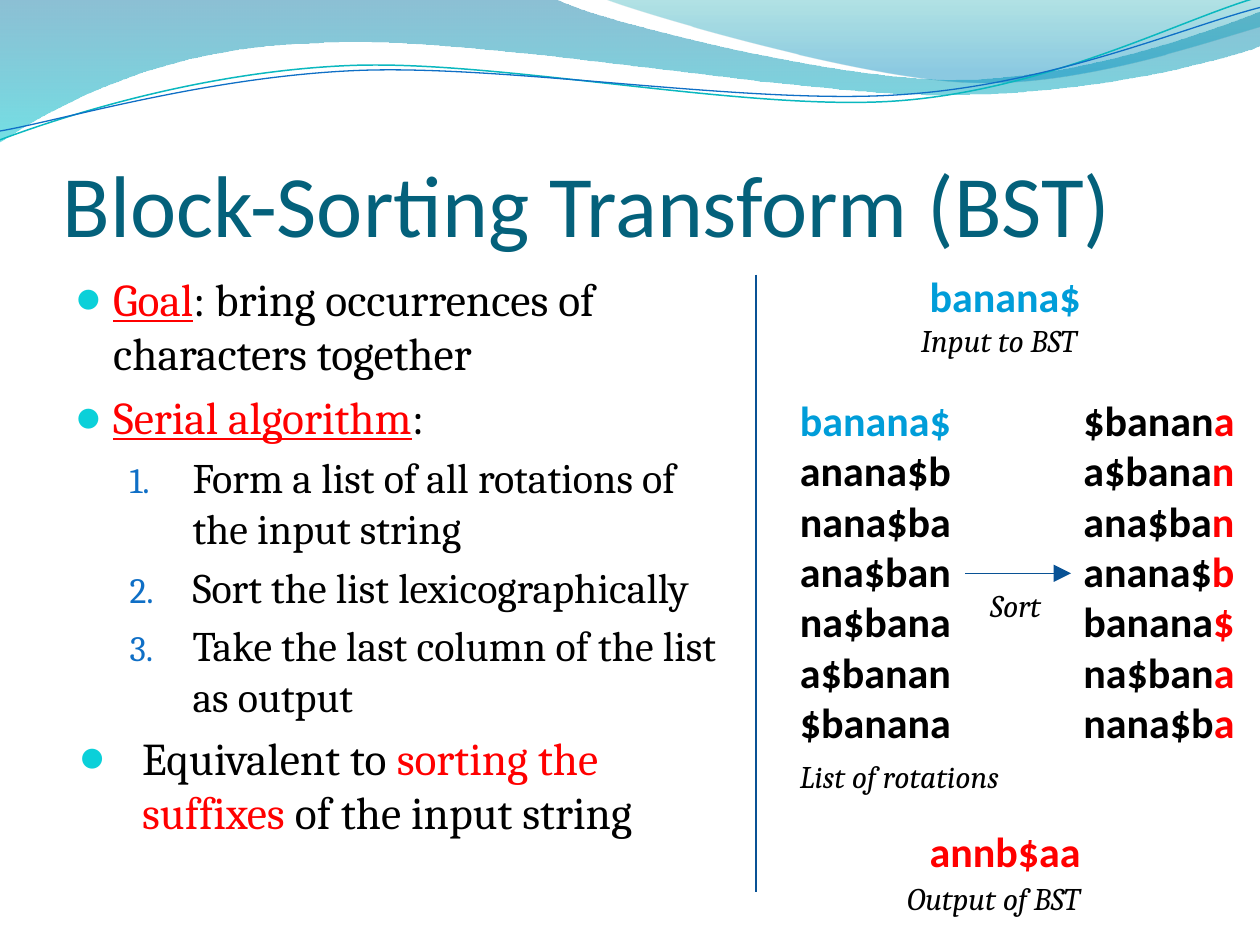
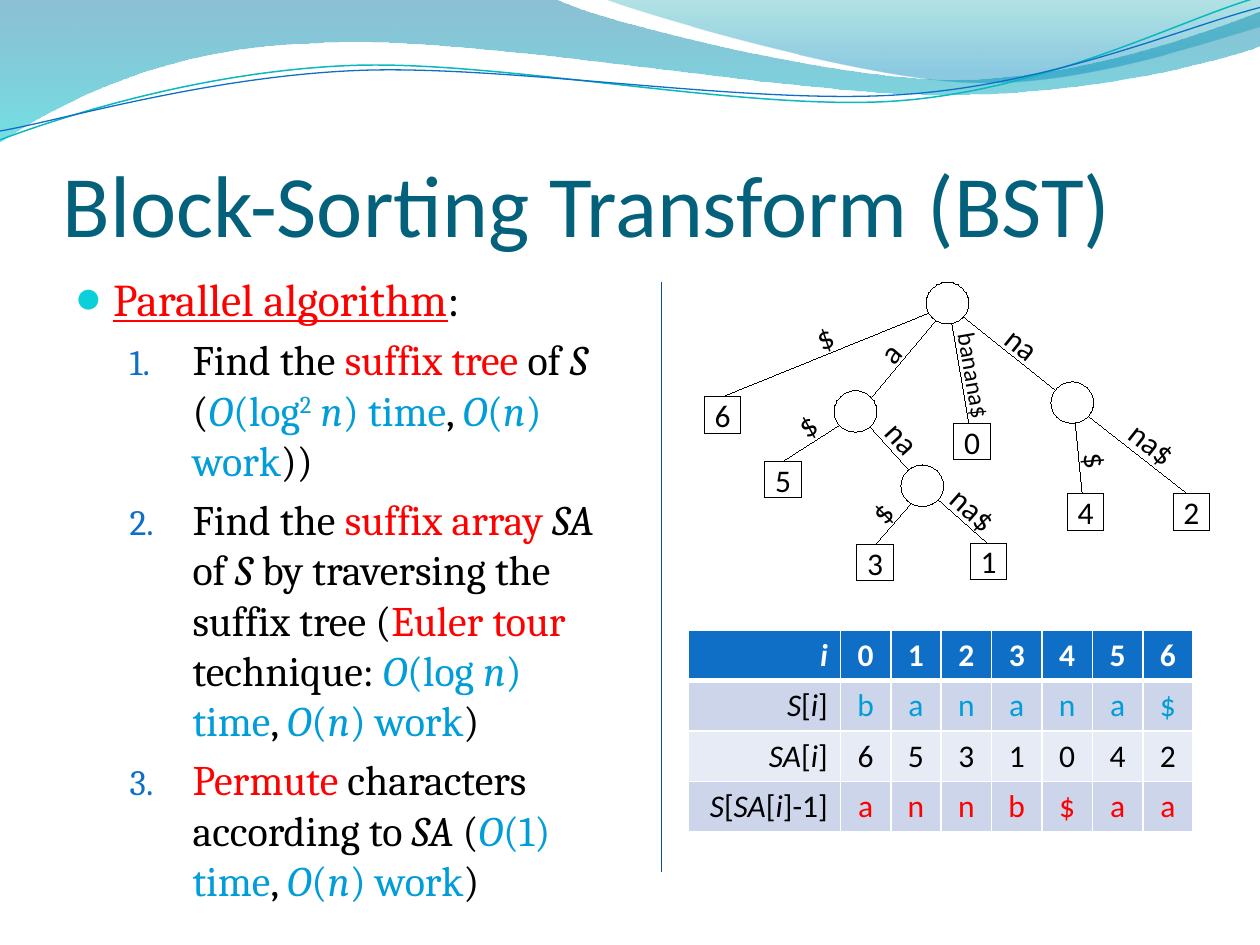
import math
from dataclasses import dataclass, replace
from itertools import islice
from typing import Any

import lxml.etree
import pptx
import pptx.dml.color
import pptx.enum.shapes
import pptx.enum.text
import pptx.oxml.ns
import pptx.util

ALIGN = pptx.enum.text.PP_ALIGN
ANCHOR = pptx.enum.text.MSO_ANCHOR
SHAPE = pptx.enum.shapes.MSO_SHAPE


@dataclass(frozen=True)
class Theme:
    heading_font: str = "Calibri"
    body_font: str = "Cambria"
    black: str = "000000"
    white: str = "FFFFFF"
    red: str = "FF0000"
    blue: str = "009DD9"
    title: str = "04617B"
    bullet: str = "0BD0D9"
    accent: str = "0F6FC6"
    rule: str = "095295"
    teal: str = "0AB8BF"
    band: tuple[str, str] = ("CCD5EA", "E7EBF5")
    title_size: int = 50
    item_size: int = 26
    step_size: int = 24
    small_size: int = 18
    tiny_size: int = 14


THEME = Theme()


@dataclass(frozen=True)
class Span:
    text: str
    color: str = THEME.black
    bold: bool = False
    italic: bool = False
    underline: bool = False
    raised: bool = False


@dataclass(frozen=True)
class Item:
    spans: list[Span]
    numbered: bool = False
    margin: float = 0.3
    hanging: float = 0.3


@dataclass(frozen=True)
class Wave:
    start: tuple[float, float]
    curves: list[tuple[float, ...]]  # 2 numbers: straight, 6 numbers: cubic
    stops: tuple[tuple[int, str, int], ...] = ()  # position, colour, opacity
    line: tuple[str, float] | None = None
    pivot: tuple[float, float] = (0, 0)
    turn: float = 0


@dataclass(frozen=True)
class Node:
    name: str
    at: tuple[float, float]
    joint: tuple[float, float]  # where the edge from the parent ends
    parent: str = ""
    label: str = ""
    label_at: tuple[float, float] = (0, 0)
    angle: float = 0
    size: int = THEME.small_size


# Helpers
def length(inches: float) -> int:
    return pptx.util.Cm(inches * 2.54)


def rgb(color: str) -> pptx.dml.color.RGBColor:
    return pptx.dml.color.RGBColor.from_string(color)


def assign(target: Any, **values: Any) -> None:
    for name, value in values.items():
        setattr(target, name, value)


def add_xml(parent: Any, tag: str, **attributes: Any) -> Any:
    return lxml.etree.SubElement(parent, pptx.oxml.ns.qn(tag),
                                 {key: str(value) for key, value in attributes.items()})


def set_line(line: Any, color: str, width: float) -> None:
    line.color.rgb = rgb(color)
    line._get_or_add_ln().set("w", str(pptx.util.Pt(width)))  # keeps a zero width


def alternate(color: str, *pieces: str) -> list[Span]:
    """Italic and upright pieces in turn, beginning with italic."""
    return [Span(piece, color, italic=i % 2 == 0) for i, piece in enumerate(pieces)]


def black(*pieces: str) -> list[Span]:
    return alternate(THEME.black, *pieces)


def cost(*pieces: str) -> list[Span]:
    return alternate(THEME.blue, *pieces)


def write(para: Any, spans: list[Span], size: int, font: str) -> None:
    for part in spans:
        span = para.add_run()
        span.text = part.text
        assign(span.font, size=pptx.util.Pt(size), name=font, bold=part.bold,
               italic=part.italic, underline=part.underline)
        span.font.color.rgb = rgb(part.color)
        if part.raised:
            span.font._element.set("baseline", "30000")


def add_lines(page: Any, at: tuple[float, ...], lines: list[list[Span]], size: int,
              font: str = THEME.heading_font, rotation: float = 0) -> None:
    box = page.shapes.add_textbox(*map(length, at))
    frame = box.text_frame
    assign(frame, word_wrap=False, auto_size=pptx.enum.text.MSO_AUTO_SIZE.SHAPE_TO_FIT_TEXT)
    box.rotation = rotation
    for i, spans in enumerate(lines):
        write(frame.add_paragraph() if i else frame.paragraphs[0], spans, size, font)


def add_caption(page: Any, left: float, top: float, width: float, text: str) -> None:
    add_lines(page, (left, top, width, 0.4), [[Span(text, italic=True)]],
              THEME.small_size, THEME.body_font)


def add_line(page: Any, start: tuple[float, float], end: tuple[float, float],
             arrow: bool = False) -> None:
    line = page.shapes.add_connector(pptx.enum.shapes.MSO_CONNECTOR.STRAIGHT,
                                     *map(length, start + end))
    set_line(line.line, THEME.rule, 0.75)
    if arrow:
        add_xml(line.line._get_or_add_ln(), "a:tailEnd", type="triangle", w="lg", len="lg")
    add_xml(line._element.spPr, "a:effectLst")


# Wave header
WAVES = [
    Wave((0, 0), [(4.4, -0.01), (4.76, 0.17, 6.64, 0.63, 7.58, 0.63),
                  (8.53, 0.63, 9.58, 0.26, 10, 0.09), (10.01, 0.36),
                  (9.83, 0.44, 8.7, 0.76, 7.46, 0.75), (6.22, 0.75, 3.82, 0.28, 2.57, 0.34),
                  (1.29, 0.36, 0.46, 0.83, -0.01, 1.13)],
         stops=((0, "0074A1", 45), (100, "00C6CF", 55))),
    Wave((4.79, -0.01), [(5.09, 0.11, 6.82, 0.62, 7.69, 0.65),
                         (8.56, 0.69, 9.61, 0.32, 10, 0.21), (10, 0)],
         stops=((0, "00A1A9", 30), (80, "008BBF", 45))),
    Wave((0, 1.11), [(0.48, 0.93, 1.58, 0.57, 2.77, 0.52), (3.95, 0.47, 5.93, 0.89, 7.13, 0.8),
                     (8.33, 0.71, 9.38, 0.15, 9.98, -0.02)],
         line=(THEME.teal, 0.85), pivot=(4.99, 0.58), turn=-2.7),
    Wave((0, 1.04), [(0.47, 0.96, 1.64, 0.61, 2.83, 0.56), (4.03, 0.51, 5.97, 0.84, 7.17, 0.75),
                     (8.36, 0.67, 9.41, 0.21, 10, 0.06)],
         line=(THEME.accent, 0.75), pivot=(5, 0.59), turn=-2.7),
]


def unturned(wave: Wave, x: float, y: float) -> tuple[int, int]:
    """The point before the shape's own rotation, in page units."""
    angle = math.radians(-wave.turn)
    dx, dy = x - wave.pivot[0], y - wave.pivot[1]
    return (length(wave.pivot[0] + dx * math.cos(angle) - dy * math.sin(angle)),
            length(wave.pivot[1] + dx * math.sin(angle) + dy * math.cos(angle)))


def add_wave(page: Any, wave: Wave) -> None:
    points = [unturned(wave, *curve[i:i + 2])
              for curve in wave.curves for i in range(0, len(curve), 2)]
    builder = page.shapes.build_freeform(*unturned(wave, *wave.start))
    builder.add_line_segments(points, close=bool(wave.stops))
    shape = builder.convert_to_shape()
    # Each three segments of a cubic become one curve
    segments = iter(list(shape._element.iter(pptx.oxml.ns.qn("a:lnTo"))))
    for curve in wave.curves:
        group = list(islice(segments, len(curve) // 2))
        if len(group) == 3:
            cubic = lxml.etree.Element(pptx.oxml.ns.qn("a:cubicBezTo"))
            group[0].addprevious(cubic)
            for segment in group:
                cubic.append(segment[0])
                segment.getparent().remove(segment)
    shape.shadow.inherit = False
    shape.rotation = wave.turn
    if wave.line:
        shape.fill.background()
        set_line(shape.line, *wave.line)
        return
    shape.line.fill.background()
    shape.fill.gradient()
    shape.fill.gradient_angle = 270
    for stop, (position, color, opacity) in zip(shape.fill.gradient_stops, wave.stops):
        stop.position = position / 100
        stop.color.rgb = rgb(color)
        add_xml(stop._gs[0], "a:alpha", val=opacity * 1000)


# Page frame and list
def add_page(deck: Any, title: str) -> Any:
    page = deck.slides.add_slide(deck.slide_layouts[6])
    for wave in WAVES:
        add_wave(page, wave)
    box = page.shapes.add_textbox(*map(length, (0.5, 0.77, 9, 1.25)))
    assign(box.text_frame, word_wrap=True, vertical_anchor=ANCHOR.BOTTOM, margin_left=0,
           margin_top=length(0.05), margin_right=0, margin_bottom=0)
    write(box.text_frame.paragraphs[0], [Span(title, THEME.title)],
          THEME.title_size, THEME.heading_font)
    return page


def add_list(page: Any, width: float, items: list[Item]) -> None:
    frame = page.shapes.add_textbox(*map(length, (0.5, 2.1, width, 4.85))).text_frame
    frame.word_wrap = True
    for i, item in enumerate(items):
        para = frame.add_paragraph() if i else frame.paragraphs[0]
        size = THEME.step_size if item.numbered else THEME.item_size
        assign(para, level=int(item.numbered), space_before=pptx.util.Pt(size * 0.2))
        props = para._p.get_or_add_pPr()
        props.set("marL", str(length(item.margin)))
        props.set("indent", str(-length(item.hanging)))
        add_xml(add_xml(props, "a:buClr"), "a:srgbClr",
                val=THEME.accent if item.numbered else THEME.bullet)
        add_xml(props, "a:buSzPct", val=85000 if item.numbered else 95000)
        if item.numbered:
            add_xml(props, "a:buAutoNum", type="arabicPeriod")
        else:
            add_xml(props, "a:buFont", typeface=THEME.heading_font)
            add_xml(props, "a:buChar", char="●")
        write(para, item.spans, size, THEME.body_font)


def topic(text: str, rest: str) -> Item:
    return Item([Span(text, THEME.red, underline=True), Span(rest)])


def step(*spans: Span) -> Item:
    return Item(list(spans), numbered=True, margin=0.93, hanging=0.5)


# Suffix tree: circles are inner nodes, squares are leaves
TREE = [
    Node("root", (7.35, 2.24), (7.53, 2.42)),
    Node("a", (6.62, 3.1), (6.81, 3.28), "root", "a", (6.9, 2.6), 311.6),
    Node("ana", (7.15, 3.69), (7.34, 3.87), "a", "na", (6.94, 3.28), 47.7),
    Node("na", (8.34, 3.03), (8.52, 3.21), "root", "na", (7.89, 2.53), 39),
    Node("6", (5.59, 3.15), (5.73, 3.15), "root", "$", (6.38, 2.47), 336.9),
    Node("5", (6.07, 3.66), (6.2, 3.67), "a", "$", (6.24, 3.17), 326.6),
    Node("1", (7.7, 4.31), (7.86, 4.33), "ana", "na$", (7.44, 3.84), 41.5),
    Node("0", (7.57, 3.36), (7.69, 3.36), "root", "banana$", (7.28, 2.82), 80.3,
         THEME.tiny_size),
    Node("4", (8.47, 3.92), (8.59, 3.93), "na", "$", (8.54, 3.46), 81.3),
    Node("2", (9.31, 3.92), (9.44, 3.93), "na", "na$", (8.86, 3.32), 38.2),
    Node("3", (6.8, 4.32), (6.94, 4.33), "ana", "$", (6.83, 3.86), 310.7),
]
LABEL_WIDTHS = {"$": 0.33, "a": 0.32, "na": 0.46, "na$": 0.58, "banana$": 0.9}


def add_tree(page: Any, nodes: list[Node]) -> None:
    joints = {node.name: tuple(map(length, node.joint)) for node in nodes}
    root, *children = nodes
    builder = page.shapes.build_freeform(*joints[root.name])
    for node in children:
        builder.move_to(*joints[node.parent])
        builder.add_line_segments([joints[node.name]], close=False)
    edges = builder.convert_to_shape()
    edges.shadow.inherit = False
    edges.fill.background()
    set_line(edges.line, THEME.black, 0)
    for node in nodes:
        leaf = node.name.isdigit()
        extent = (0.29, 0.29) if leaf else (0.34, 0.33)
        shape = page.shapes.add_shape(SHAPE.RECTANGLE if leaf else SHAPE.OVAL,
                                      *map(length, node.at + extent))
        shape.shadow.inherit = False
        shape.fill.solid()
        shape.fill.fore_color.rgb = rgb(THEME.white)
        set_line(shape.line, THEME.black, 0)
        if leaf:
            frame = shape.text_frame
            assign(frame, vertical_anchor=ANCHOR.MIDDLE, margin_left=0, margin_top=0,
                   margin_right=0, margin_bottom=0)
            frame.paragraphs[0].alignment = ALIGN.CENTER
            write(frame.paragraphs[0], [Span(node.name)], THEME.small_size, THEME.heading_font)
    for node in children:
        extent = (LABEL_WIDTHS[node.label], 0.4 if node.size == THEME.small_size else 0.34)
        add_lines(page, node.label_at + extent, [[Span(node.label)]], node.size,
                  rotation=node.angle)


# Table
def add_array_table(page: Any, rows: list[list[list[Span]]]) -> None:
    table = page.shapes.add_table(len(rows), len(rows[0]),
                                  *map(length, (5.46, 5, 4.01, 1.6))).table
    assign(table, first_row=False, horz_banding=False)
    for i, column in enumerate(table.columns):
        column.width = length(0.4 if i else 1.21)
    for r, row in enumerate(rows):
        table.rows[r].height = length(0.4)
        for c, spans in enumerate(row):
            cell = table.cell(r, c)
            for side in "LRTB":
                thick = (r, side) in ((0, "B"), (1, "T"))
                edge = add_xml(cell._tc.get_or_add_tcPr(), f"a:ln{side}",
                               w=pptx.util.Pt(3 if thick else 1))
                add_xml(add_xml(edge, "a:solidFill"), "a:srgbClr", val=THEME.white)
            cell.fill.solid()
            cell.fill.fore_color.rgb = rgb(THEME.band[(r - 1) % 2] if r else THEME.accent)
            para = cell.text_frame.paragraphs[0]
            para.alignment = ALIGN.CENTER if c else ALIGN.RIGHT
            write(para, [replace(span, bold=r == 0) for span in spans],
                  THEME.small_size, THEME.heading_font)


deck = pptx.Presentation()
assign(deck, slide_width=length(10), slide_height=length(7.5))
TITLE = "Block-Sorting Transform (BST)"
word = "banana$"
rotations = [word[i:] + word[:i] for i in range(len(word))]
ordered = sorted(rotations)
output = "".join(text[-1] for text in ordered)
suffixes = sorted(range(len(word)), key=lambda i: word[i:])

# Slide 1: serial algorithm
page = add_page(deck, TITLE)
add_list(page, 5.33, [
    topic("Goal", ": bring occurrences of characters together"),
    topic("Serial algorithm", ":"),
    step(Span("Form a list of all rotations of the input string")),
    step(Span("Sort the list lexicographically")),
    step(Span("Take the last column of the list as output")),
    Item([Span("Equivalent to "), Span("sorting the suffixes", THEME.red),
          Span(" of the input string")], margin=0.53, hanging=0.5),
])
add_lines(page, (6.25, 3.08, 1.41, 2.93),
          [[Span(text, THEME.black if i else THEME.blue, bold=True)]
           for i, text in enumerate(rotations)], THEME.step_size)
add_lines(page, (8.5, 3.08, 1.41, 2.93),
          [[Span(text[:-1], bold=True), Span(text[-1], THEME.red, bold=True)]
           for text in ordered], THEME.step_size)
for top, text, color in ((2.1, word, THEME.blue), (6.5, output, THEME.red)):
    add_lines(page, (7.28, top, 1.41, 0.5), [[Span(text, color, bold=True)]], THEME.step_size)
for caption in ((7.21, 2.5, 1.55, "Input to BST"), (6.25, 5.96, 1.92, "List of rotations"),
                (7.1, 6.93, 1.78, "Output of BST"), (7.76, 4.6, 0.65, "Sort")):
    add_caption(page, *caption)
add_line(page, (7.66, 4.55), (8.5, 4.55), arrow=True)
add_line(page, (6, 2.18), (6, 7.08))

# Slide 2: parallel algorithm
page = add_page(deck, TITLE)
linear_work = [Span(", "), *cost("O", "(", "n", ") work")]
add_list(page, 4.42, [
    topic("Parallel algorithm", ":"),
    step(Span("Find the "), Span("suffix tree ", THEME.red), Span("of "), *black("S", " ("),
         *cost("O", "(log"), Span("2", THEME.blue, raised=True), *cost(" n", ") time"),
         *linear_work, Span("))")),
    step(Span("Find the "), Span("suffix array ", THEME.red),
         *black("SA", " of ", "S", " by traversing the suffix tree ("),
         Span("Euler tour", THEME.red), Span(" technique: "),
         *cost("O", "(log ", "n", ") time"), *linear_work, Span(")")),
    step(Span("Permute ", THEME.red), Span("characters according to "), *black("SA", " ("),
         *cost("O", "(1) time"), *linear_work, Span(")")),
])
add_tree(page, TREE)
table_rows = [
    (alternate(THEME.white, "i"), range(len(word)), THEME.white),
    (black("S", "[", "i", "]"), word, THEME.blue),
    (black("SA", "[", "i", "]"), suffixes, THEME.black),
    (black("S", "[", "SA", "[", "i", "]-1]"), output, THEME.red),
]
add_array_table(page, [[label, *([Span(str(value), color)] for value in values)]
                       for label, values, color in table_rows])
add_line(page, (5.25, 2.24), (5.25, 6.92))

deck.save("out.pptx")
